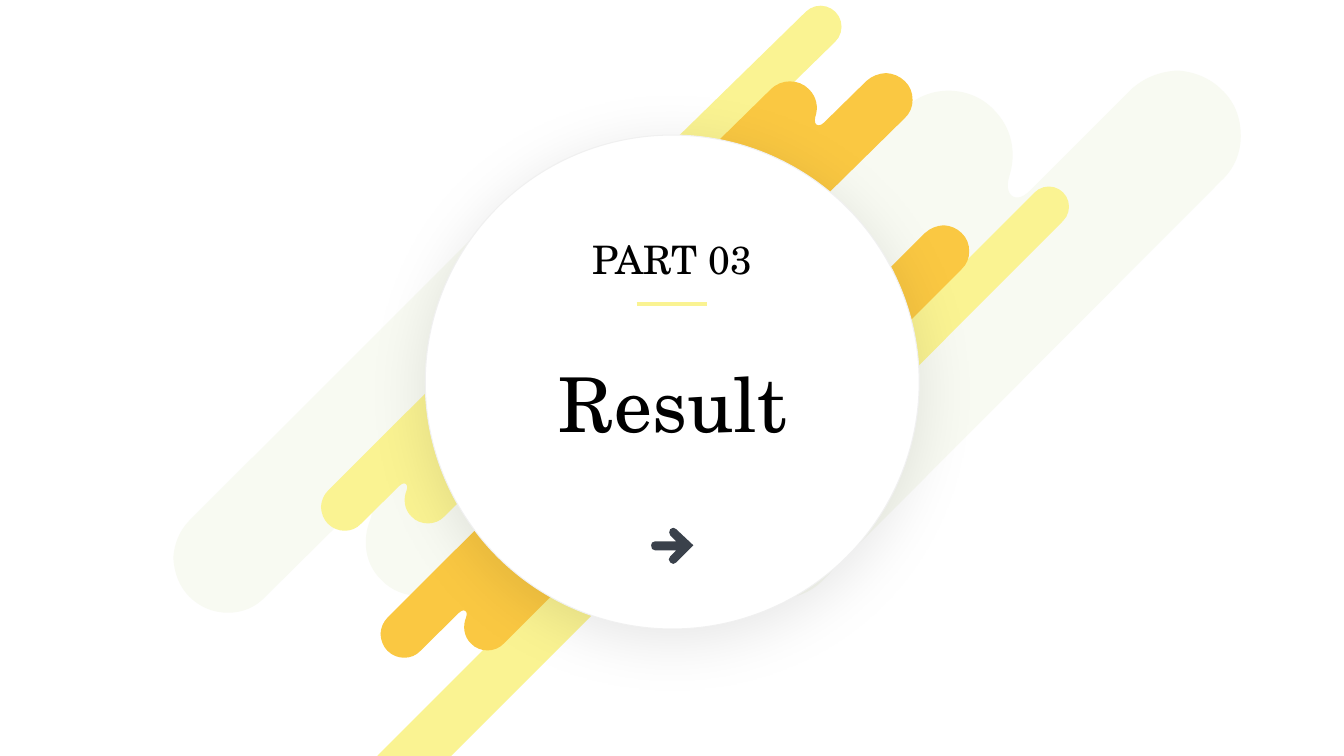
import math

import lxml.etree
import pptx
import pptx.dml.color
import pptx.enum.shapes
import pptx.enum.text
import pptx.oxml
import pptx.oxml.ns
import pptx.util

Pt = pptx.util.Pt
qn = pptx.oxml.ns.qn
FONT = "TeX Gyre Schola"
PALE, YELLOW, ORANGE, SLATE = "F8FAF2", "FAF392", "FAC842", "3A414B"

TWIN_SIZE = (750, 544)
TWIN_BARS = [
    (687, 0), (670, 1, 654, 7, 641, 19), (541, 119),
    (536, 124, 532, 126, 528, 126), (520, 126, 517, 117, 520, 106),
    (528, 82, 523, 57, 505, 39), (493, 26, 476, 20, 460, 20),
    (444, 20, 428, 26, 415, 39), (19, 435),
    (7, 447, 1, 463, 0, 479), (1, 497, 7, 513, 19, 525),
    (32, 538, 48, 544, 65, 544), (81, 544, 97, 538, 109, 525), (213, 422),
    (218, 417, 223, 415, 226, 415), (234, 415, 237, 424, 233, 434),
    (223, 458, 227, 487, 246, 505), (258, 518, 275, 524, 291, 524),
    (307, 524, 324, 518, 336, 505), (731, 109),
    (744, 97, 750, 81, 750, 65), (750, 47, 744, 31, 731, 19),
    (719, 7, 703, 1, 687, 0),
]
ARROW_SIZE = (42, 37)
ARROW = [
    (19, 35), (17, 33, 17, 31, 19, 29), (25, 23), (4, 23),
    (1, 23, 0, 21, 0, 18), (0, 16, 1, 14, 4, 14), (25, 14), (19, 8),
    (18, 7, 18, 6, 18, 5), (18, 4, 18, 3, 19, 2), (21, 0, 23, 0, 25, 2),
    (42, 18), (25, 35), (23, 37, 21, 37, 19, 35),
]


def rgb(color):
    """Return the colour of a hex string."""
    return pptx.dml.color.RGBColor.from_string(color)


def paint(sp, color):
    """Give a shape a plain fill without line or shadow."""
    sp.shadow.inherit = False
    sp.fill.solid()
    sp.fill.fore_color.rgb = rgb(color)
    sp.line.fill.background()


def add_outline(shapes, segments, size, box, color):
    """Draw an outline of lines and cubic curves stretched to a box."""
    left, top, width, height = box
    curves = [[(Pt(left + x * width / size[0]), Pt(top + y * height / size[1]))
               for x, y in zip(segment[::2], segment[1::2])] for segment in segments]
    ends = [points[-1] for points in curves]
    builder = shapes.build_freeform(*ends[0])
    builder.add_line_segments(ends[1:], close=True)
    sp = builder.convert_to_shape()
    for points, line in zip(curves[1:], list(sp.element.iter(qn("a:lnTo")))):
        if len(points) == 3:
            curve = lxml.etree.Element(qn("a:cubicBezTo"))
            for x, y in points:
                lxml.etree.SubElement(curve, qn("a:pt"), x=str(x - sp.left), y=str(y - sp.top))
            line.getparent().replace(line, curve)
    paint(sp, color)


def add_capsule(shapes, start, end, width, color):
    """Draw a round-ended bar between two end centres."""
    dx, dy = end[0] - start[0], end[1] - start[1]
    length = math.hypot(dx, dy) + width
    left = (start[0] + end[0] - length) / 2
    top = (start[1] + end[1] - width) / 2
    sp = shapes.add_shape(pptx.enum.shapes.MSO_SHAPE.ROUNDED_RECTANGLE,
                          Pt(left), Pt(top), Pt(length), Pt(width))
    sp.adjustments[0] = 0.5
    sp.rotation = math.degrees(math.atan2(dy, dx))
    paint(sp, color)


def add_disc(shapes, left, top, size):
    """Draw the white disc with its soft shadow."""
    sp = shapes.add_shape(pptx.enum.shapes.MSO_SHAPE.OVAL,
                          Pt(left), Pt(top), Pt(size), Pt(size))
    paint(sp, "FFFFFF")
    sp.line.color.rgb = rgb("F0F0F0")
    sp.line.width = Pt(0.75)
    effects = sp.element.spPr.find(qn("a:effectLst"))
    effects.append(pptx.oxml.parse_xml(
        f'<a:outerShdw {pptx.oxml.ns.nsdecls("a")} blurRad="{Pt(45)}" dist="{Pt(8)}" '
        'dir="5400000" algn="t" rotWithShape="0"><a:srgbClr val="000000">'
        '<a:alpha val="10000"/></a:srgbClr></a:outerShdw>'))


def add_rule(shapes, x1, x2, y, color, width):
    """Draw a horizontal line."""
    c = shapes.add_connector(pptx.enum.shapes.MSO_CONNECTOR.STRAIGHT,
                             Pt(x1), Pt(y), Pt(x2), Pt(y))
    c.line.color.rgb = rgb(color)
    c.line.width = Pt(width)
    lxml.etree.SubElement(c.element.spPr, qn("a:effectLst"))


def set_text(sp, text, box, size, color="000000", font=FONT):
    """Place a text shape and write one centred line in it."""
    sp.left, sp.top, sp.width, sp.height = (Pt(v) for v in box)
    tf = sp.text_frame
    tf.word_wrap = True
    tf.auto_size = pptx.enum.text.MSO_AUTO_SIZE.SHAPE_TO_FIT_TEXT
    tf.vertical_anchor = pptx.enum.text.MSO_ANCHOR.TOP
    p = tf.paragraphs[0]
    p.alignment = pptx.enum.text.PP_ALIGN.CENTER
    r = p.add_run()
    r.text = text
    r.font.size = Pt(size)
    r.font.name = font
    r.font.color.rgb = rgb(color)


def main():
    """Build the section slide."""
    prs = pptx.Presentation()
    prs.slide_width, prs.slide_height = Pt(960), Pt(540)
    s = prs.slides.add_slide(prs.slide_layouts[5])
    shapes = s.shapes

    def twin(box, color):
        """Add a pair of joined bars."""
        add_outline(shapes, TWIN_BARS, TWIN_SIZE, box, color)

    twin((346.3, 50.4, 540, 391.7), PALE)
    twin((123.8, 109.4, 452.9, 328.3), PALE)
    add_capsule(shapes, (446.8, 155.2), (586.1, 19.1), 30, YELLOW)
    twin((425.2, 52.2, 226.7, 161.3), ORANGE)
    add_capsule(shapes, (616.3, 280.8), (749.2, 147.6), 28.8, YELLOW)
    twin((475.6, 160.9, 216.7, 157), ORANGE)
    twin((229.3, 236.5, 196.9, 142.6), YELLOW)
    add_capsule(shapes, (283.3, 552.6), (455.4, 380.5), 37.4, YELLOW)
    twin((271.8, 327.2, 196.9, 142.6), ORANGE)
    add_disc(shapes, 303.8, 96.5, 352.8)

    title = shapes.title
    shapes.element.append(title.element)
    set_text(title, "Result", (352, 251.3, 257, 72.7), 54)

    heading = shapes.add_group_shape().shapes
    part = heading.add_textbox(0, 0, Pt(168.5), Pt(41))
    set_text(part, "PART 03", (396, 164.2, 168.5, 41), 28)
    add_rule(heading, 455, 505, 217.1, YELLOW, 3)

    add_outline(shapes, ARROW, ARROW_SIZE, (465.1, 376.6, 30.2, 26.6), SLATE)
    prs.save("out.pptx")


if __name__ == "__main__":
    main()
